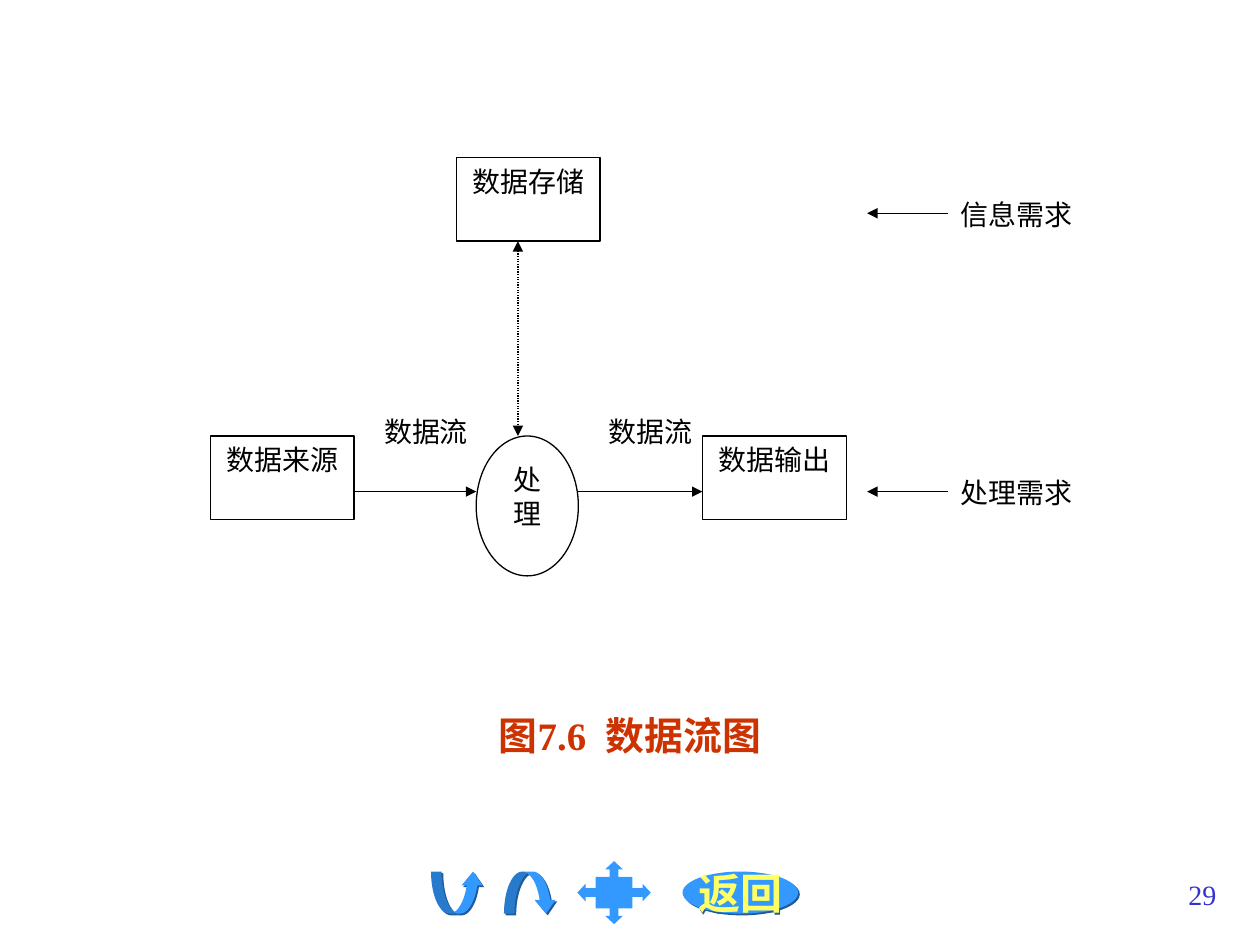
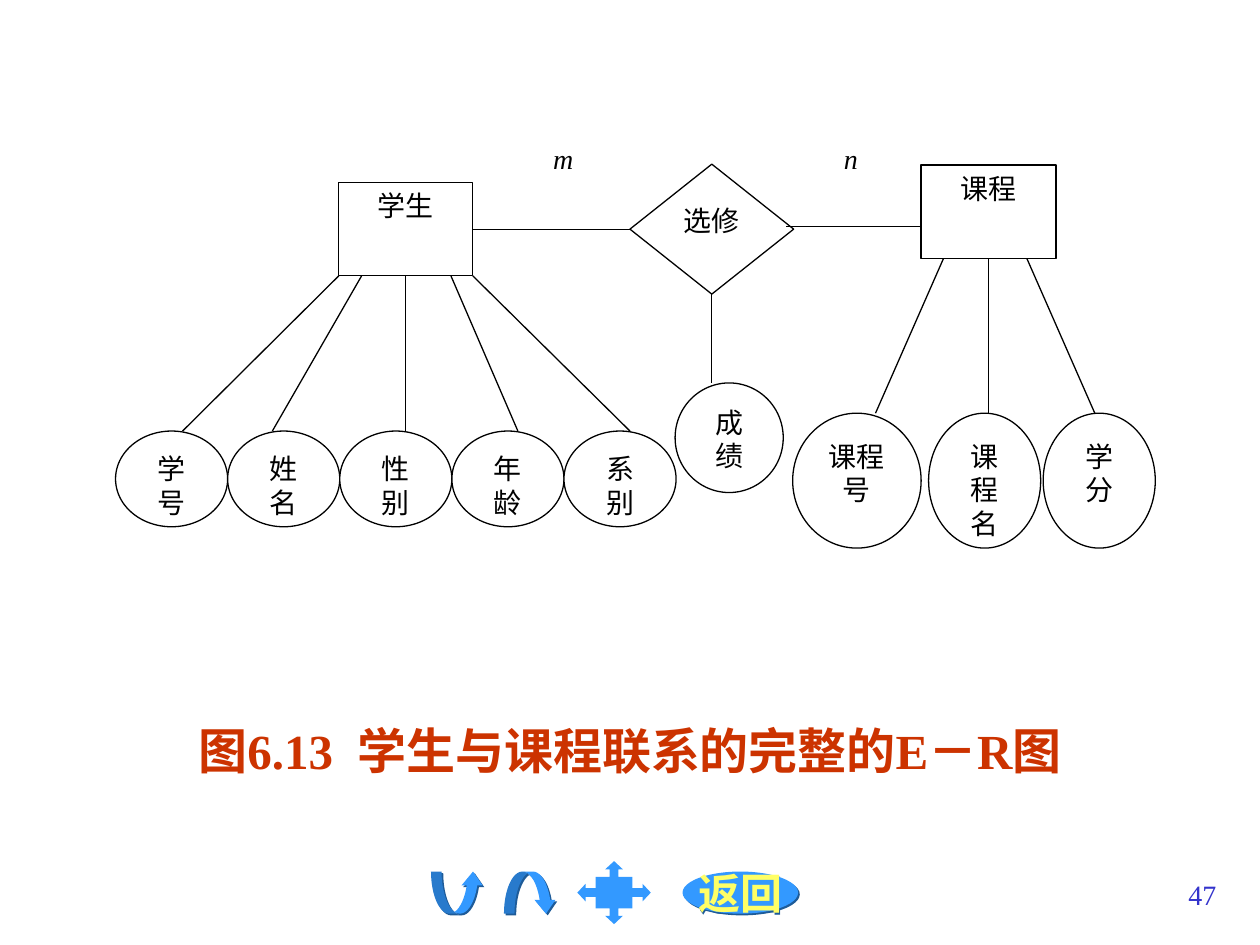
from lxml.etree import SubElement
from pptx import Presentation
from pptx.dml.color import RGBColor
from pptx.enum.dml import MSO_LINE
from pptx.enum.shapes import MSO_CONNECTOR, MSO_SHAPE
from pptx.enum.text import MSO_ANCHOR, MSO_AUTO_SIZE, PP_ALIGN
from pptx.oxml.ns import qn
from pptx.util import Cm, Pt

FONT = "Times New Roman"
COLORS = {"ink": "000000", "paper": "FFFFFF", "caption": "CC3300", "page": "3333CC",
          "nav": "3399FF", "nav_shadow": "1E5B98", "nav_text": "FFFF66"}
BOTTOM, LEFT, RIGHT = 2, 1, 3

# Data flow diagram, lengths in cm
BOX_W, BOX_H = 2.9, 1.68
COLUMN_X, COLUMN_STEP = 4.24, 4.96
STORE_Y, FLOW_Y = 3.18, 8.79
ARROW_Y = 9.91
FLOW_BOXES = [("数据来源", 0, FLOW_Y), ("数据存储", 1, STORE_Y), ("数据输出", 2, FLOW_Y)]
PROCESS = ("处理", 9.6, FLOW_Y, 2.06, 2.82)
FLOW_LABEL = "数据流"
DEMANDS = [("信息需求", STORE_Y), ("处理需求", FLOW_Y)]
DEMAND_X, DEMAND_TIP = 19.12, 17.48

# E-R diagram: entity box, then (attribute, left, width, line start x, line end x)
STUDENT = ("学生", 6.83, 3.68, 2.7, 1.88)
COURSE = ("课程", 18.57, 3.33, 2.72, 1.88)
ELECT = ("选修", 12.7, 3.31, 3.3, 2.62)
SCORE = ("成绩", 13.61, 7.72, 2.18, 2.21)
ATTR_W = 2.26
STUDENT_ATTRS = [(name, 2.33 + i * ATTR_W, ATTR_W, start, end) for i, (name, start, end) in enumerate([
    ("学号", 6.83, 3.68), ("姓名", 7.29, 5.49), ("性别", 8.18, 8.18),
    ("年龄", 9.09, 10.44), ("系别", 9.53, 12.7)])]
COURSE_ATTRS = [("课程号", 15.98, 2.59, 19.02, 17.65), ("课程名", 18.72, ATTR_W, 19.93, 19.93),
                ("学分", 21.03, ATTR_W, 20.7, 22.07)]
ROLES = [("m", 10.9), ("n", 16.76)]

FIGURES = [
    {"caption": "图7.6  数据流图", "size": 22.2, "height": 1.06, "spacing": 0.8, "page": "29"},
    {"caption": "图6.13  学生与课程联系的完整的E－R图", "size": 28, "height": 1.48,
     "spacing": 1.0, "page": "47"},
]

# Navigation buttons: preset, left, top, width, height, adjustments, shadow, text
NAV = [
    (MSO_SHAPE.CURVED_UP_ARROW, 8.69, 17.57, 1.06, 0.85, (0.25, 0.5, 0.33), True, ""),
    (MSO_SHAPE.CURVED_DOWN_ARROW, 10.16, 17.57, 1.06, 0.85, (0.25, 0.5, 0.33), True, ""),
    (MSO_SHAPE.QUAD_ARROW_CALLOUT, 11.64, 17.36, 1.48, 1.27, (0.14, 0.14, 0.13, 0.5), False, ""),
    (MSO_SHAPE.OVAL, 13.76, 17.57, 2.33, 0.85, (), True, "返回"),
]


def color(name):
    return RGBColor.from_string(COLORS[name])


def write(tf, text, size=16, ink="ink", bold=False, italic=False, align=PP_ALIGN.CENTER,
          anchor=MSO_ANCHOR.TOP, wrap=True, spacing=None, top=0.13):
    tf.auto_size = MSO_AUTO_SIZE.NONE
    tf.word_wrap = wrap
    tf.vertical_anchor = anchor
    tf.margin_left = tf.margin_right = Cm(0.25)
    tf.margin_top, tf.margin_bottom = Cm(top), Cm(0.13)
    p = tf.paragraphs[0]
    p.alignment = align
    p.line_spacing = spacing
    r = p.add_run()
    r.text = text
    r.font.name, r.font.size = FONT, Pt(size)
    r.font.bold, r.font.italic = bold, italic
    r.font.color.rgb = color(ink)


def add_label(s, text, x, y, w, h, **fmt):
    write(s.shapes.add_textbox(Cm(x), Cm(y), Cm(w), Cm(h)).text_frame, text, **fmt)


def add_node(s, preset, text, x, y, w, h):
    sp = s.shapes.add_shape(preset, Cm(x), Cm(y), Cm(w), Cm(h))
    sp.shadow.inherit = False
    sp.fill.solid()
    sp.fill.fore_color.rgb = color("paper")
    sp.line.color.rgb = color("ink")
    sp.line.width = Pt(0.75)
    write(sp.text_frame, text)
    return sp


def add_line(s, x1, y1, x2, y2, ends=(), dash=None):
    """Draw a line; ends names the arrowheads, headEnd at the start and tailEnd at the end."""
    line = s.shapes.add_connector(MSO_CONNECTOR.STRAIGHT, Cm(x1), Cm(y1), Cm(x2), Cm(y2))
    line.line.color.rgb = color("ink")
    line.line.width = Pt(0.75)
    if dash:
        line.line.dash_style = dash
    for end in ends:
        SubElement(line.line._get_or_add_ln(), qn(f"a:{end}"), type="triangle")
    SubElement(line._element.spPr, qn("a:effectLst"))
    return line


def add_nav_shadow(sp):
    effects = sp._element.spPr.find(qn("a:effectLst"))
    shadow = SubElement(effects, qn("a:outerShdw"), dist=str(Pt(1.4)), dir="2700000",
                        algn="ctr", rotWithShape="0")
    SubElement(shadow, qn("a:srgbClr"), val=COLORS["nav_shadow"])


def add_nav(s):
    for preset, x, y, w, h, adjustments, shadowed, text in NAV:
        sp = s.shapes.add_shape(preset, Cm(x), Cm(y), Cm(w), Cm(h))
        for i, value in enumerate(adjustments):
            sp.adjustments[i] = value
        sp.fill.solid()
        sp.fill.fore_color.rgb = color("nav")
        sp.line.fill.background()
        sp.shadow.inherit = False
        if shadowed:
            add_nav_shadow(sp)
        if text:
            write(sp.text_frame, text, size=24, ink="nav_text", bold=True,
                  anchor=MSO_ANCHOR.MIDDLE, wrap=False)


def add_figure_slide(prs, figure):
    s = prs.slides.add_slide(prs.slide_layouts[5])
    add_nav(s)
    title = s.shapes.title
    title.left, title.top = Cm(1.9), Cm(14.4)
    title.width, title.height = Cm(21.6), Cm(figure["height"])
    write(title.text_frame, figure["caption"], size=figure["size"], ink="caption", bold=True,
          spacing=figure["spacing"])
    add_label(s, figure["page"], 19.48, 17.57, 5.29, 1.27, ink="page", align=PP_ALIGN.RIGHT)
    return s


def draw_data_flow(s):
    for text, column, y in FLOW_BOXES:
        add_node(s, MSO_SHAPE.RECTANGLE, text, COLUMN_X + column * COLUMN_STEP, y, BOX_W, BOX_H)
    add_node(s, MSO_SHAPE.OVAL, *PROCESS)

    process_x, process_w = PROCESS[1], PROCESS[3]
    flows = [(COLUMN_X + BOX_W, process_x),
             (process_x + process_w, COLUMN_X + 2 * COLUMN_STEP)]
    for start, end in flows:
        add_label(s, FLOW_LABEL, start, 8.23, BOX_W, BOX_H)
        add_line(s, start, ARROW_Y, end, ARROW_Y, ["tailEnd"])
    add_line(s, 10.44, STORE_Y + BOX_H, 10.44, FLOW_Y, ["headEnd", "tailEnd"],
             MSO_LINE.ROUND_DOT)

    for text, y in DEMANDS:
        add_label(s, text, DEMAND_X, y, BOX_W, BOX_H, align=PP_ALIGN.LEFT, top=0.8)
        arrow_y = y + ARROW_Y - FLOW_Y
        add_line(s, DEMAND_X, arrow_y, DEMAND_TIP, arrow_y, ["tailEnd"])


def draw_entity(s, entity, attributes, y, h):
    """Draw an entity with its row of attributes and return the entity's box."""
    box = add_node(s, MSO_SHAPE.RECTANGLE, *entity)
    _, left, top, width, height = entity
    for name, x, w, start, end in attributes:
        add_node(s, MSO_SHAPE.OVAL, name, x, y, w, h)
        line = add_line(s, start, top + height, end, y)
        if abs(start - left - width / 2) < 0.02:
            line.begin_connect(box, BOTTOM)
    return box


def draw_er(s):
    student = draw_entity(s, STUDENT, STUDENT_ATTRS, 8.69, 1.93)
    draw_entity(s, COURSE, COURSE_ATTRS, 8.33, 2.72)
    elect = add_node(s, MSO_SHAPE.DIAMOND, *ELECT)
    add_node(s, MSO_SHAPE.OVAL, *SCORE)

    _, x, y, w, h = ELECT
    link = add_line(s, STUDENT[1] + STUDENT[3], y + h / 2, x, y + h / 2)
    link.begin_connect(student, RIGHT)
    link.end_connect(elect, LEFT)
    add_line(s, 15.85, 4.57, COURSE[1], 4.57)
    add_line(s, x + w / 2, y + h, x + w / 2, SCORE[2])
    for role, role_x in ROLES:
        add_label(s, role, role_x, 2.72, 1.09, 1.65, italic=True, align=PP_ALIGN.LEFT)


def main():
    prs = Presentation()
    prs.slide_width, prs.slide_height = Cm(25.4), Cm(19.05)
    for figure, draw in zip(FIGURES, (draw_data_flow, draw_er)):
        draw(add_figure_slide(prs, figure))
    prs.save("out.pptx")


if __name__ == "__main__":
    main()
